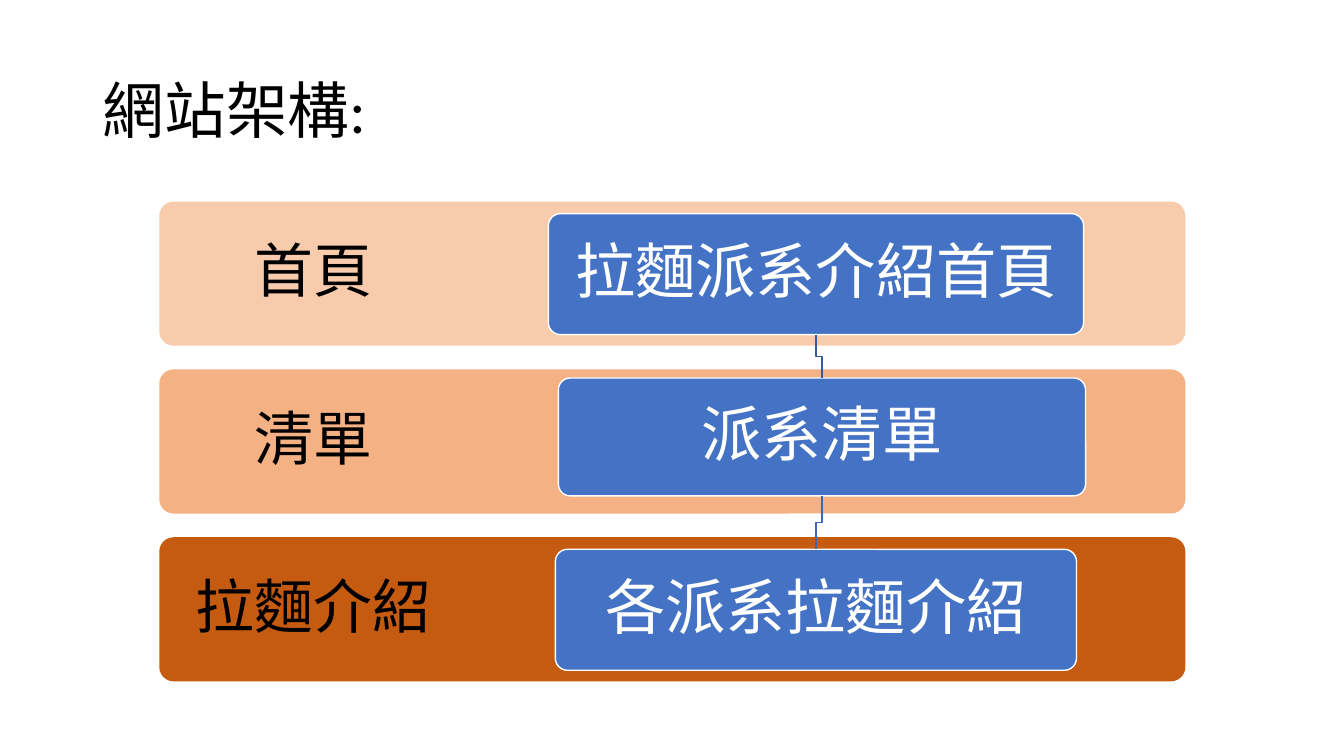
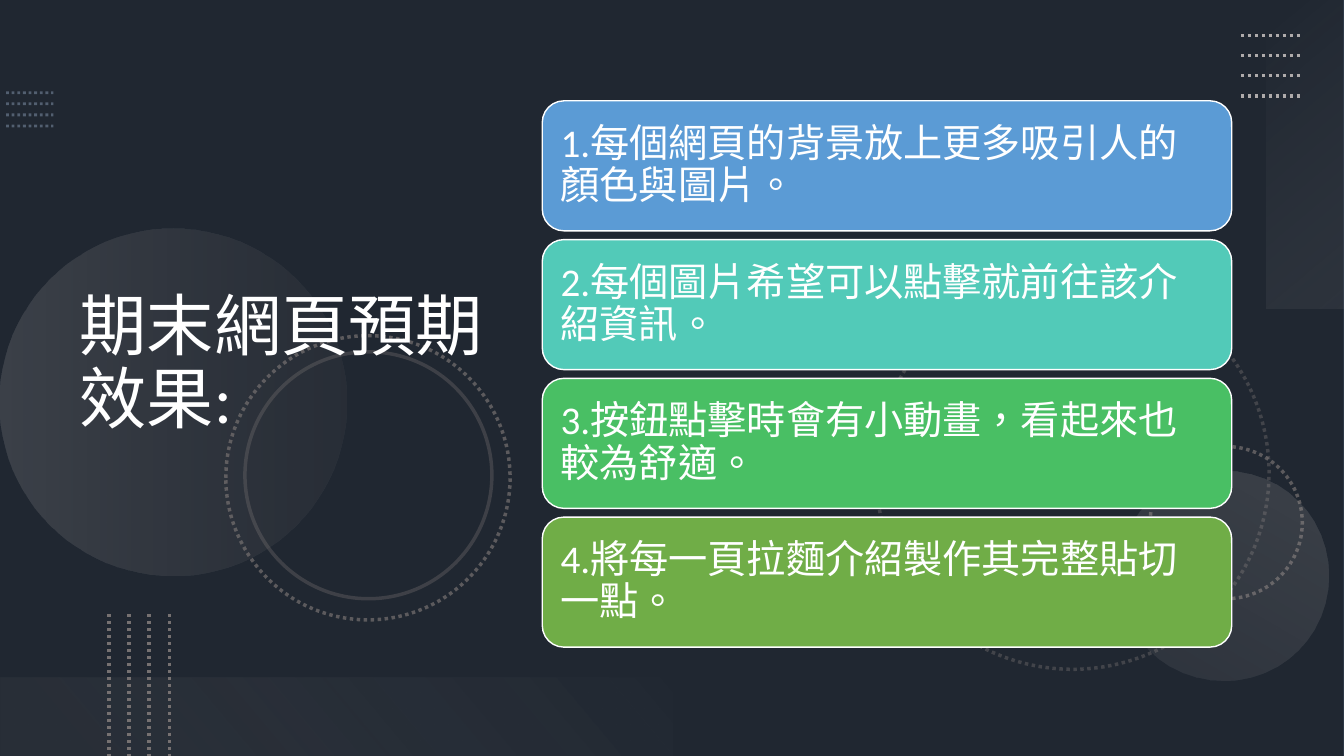
import lxml.etree
import pptx
import pptx.dml.color
import pptx.enum.dml
import pptx.enum.lang
import pptx.enum.shapes
import pptx.enum.text
import pptx.oxml.ns
import pptx.util

SCALE = 9144  # EMU in one px, 100 px to the inch
WIDE, HIGH = 1333, 750
FONT = "Calibri"
WHITE, BLACK, BLUE = "FFFFFF", "000000", "4472C4"
GREY, SILVER = "767171", "AFABAB"
KIND = pptx.enum.shapes.MSO_SHAPE
ALIGN = pptx.enum.text.PP_ALIGN
DOTS = pptx.enum.dml.MSO_LINE.ROUND_DOT


def px(*sizes):
    return [round(size * SCALE) for size in sizes]


def paint(hue):
    return pptx.dml.color.RGBColor.from_string(hue)


def fade(shape, path, *shares):
    """Set the opacity, in percent, of the colours found at an XML path."""
    for hue, share in zip(shape._element.spPr.xpath(path), shares):
        lxml.etree.SubElement(hue, pptx.oxml.ns.qn("a:alpha"), val=str(share * 1000))


def stroke(shape, hue, width, dash=None, share=100):
    shape.line.color.rgb = paint(hue)
    shape.line.width = pptx.util.Pt(width)
    if dash:
        shape.line.dash_style = dash
    if share < 100:
        fade(shape, "./a:ln/a:solidFill/a:srgbClr", share)


def form(slide, kind, box, fill=None, turn=0):
    shape = slide.shapes.add_shape(kind, *px(*box))
    shape.shadow.inherit = False
    shape.rotation = turn
    shape.line.fill.background()
    if fill:
        shape.fill.solid()
        shape.fill.fore_color.rgb = paint(fill)
    else:
        shape.fill.background()
    return shape


def blend(shape, stops, angle):
    """Fill with two stops of (place, hue, opacity); the angle runs clockwise."""
    shape.fill.gradient()
    shape.fill.gradient_angle = 360 - angle
    for stop, (place, hue, share) in zip(shape.fill.gradient_stops, stops):
        stop.position = place
        stop.color.rgb = paint(hue)
    fade(shape, "./a:gradFill//a:srgbClr", *(stop[2] for stop in stops))


def write(shape, text, size, hue, align=ALIGN.LEFT, inset=None):
    frame = shape.text_frame
    frame.word_wrap = True
    frame.auto_size = pptx.enum.text.MSO_AUTO_SIZE.NONE
    frame.vertical_anchor = pptx.enum.text.MSO_ANCHOR.MIDDLE
    if inset is not None:
        (frame.margin_left, frame.margin_top,
         frame.margin_right, frame.margin_bottom) = px(*[inset] * 4)
    para = frame.paragraphs[0]
    para.alignment = align
    para.line_spacing = 0.9
    run = para.add_run()
    run.text = text
    run.font.name = FONT
    run.font.size = pptx.util.Pt(size)
    run.font.color.rgb = paint(hue)
    run.font.language_id = pptx.enum.lang.MSO_LANGUAGE_ID.TRADITIONAL_CHINESE


def start(deck, ground):
    slide = deck.slides.add_slide(deck.slide_layouts[5])
    slide.background.fill.solid()
    slide.background.fill.fore_color.rgb = paint(ground)
    return slide


def head(slide, box, text, size, hue):
    title = slide.shapes.title
    title.left, title.top, title.width, title.height = px(*box)
    write(title, text, size, hue)


def card(slide, box, fill, text, size, align, inset):
    shape = form(slide, KIND.ROUNDED_RECTANGLE, box, fill)
    stroke(shape, WHITE, 1)
    write(shape, text, size, WHITE, align, inset)
    return shape


def band(slide, box, fill, text):
    left, top, width, height = box
    shape = form(slide, KIND.ROUNDED_RECTANGLE, box, fill)
    shape.adjustments[0] = 0.1
    label = slide.shapes.add_textbox(*px(left, top, width * 0.3, height))
    write(label, text, 42, BLACK, ALIGN.CENTER, 33)


def link(slide, upper, lower, hue):
    """Draw a stepped line from the foot of one node to the top of the next."""
    first, last = (node.left + node.width // 2 for node in (upper, lower))
    foot, top = upper.top + upper.height, lower.top
    mid = (foot + top) // 2
    path = slide.shapes.build_freeform(first, foot)
    path.add_line_segments([(first, mid), (last, mid), (last, top)], close=False)
    step = path.convert_to_shape()
    step.shadow.inherit = False
    step.fill.background()
    stroke(step, hue, 1)


def chart(slide, box):
    """Three labelled bands, each with one node, linked downwards."""
    left, top, width, height = box
    tall = 143
    pitch = (height - tall) / 2
    rows = [
        ("F8CBAD", "首頁", "拉麵派系介紹首頁", (386, 12, 531, 120)),
        ("F4B183", "清單", "派系清單", (396, 175, 523, 117)),
        ("C55A11", "拉麵介紹", "各派系拉麵介紹", (393, 345, 517, 120)),
    ]
    for row, (fill, label, _, _) in enumerate(rows):
        band(slide, (left, top + row * pitch, width, tall), fill, label)
    nodes = []
    for _, _, text, (dx, dy, wide, high) in rows:
        node = card(slide, (left + dx, top + dy, wide, high), BLUE, text, 43,
                    ALIGN.CENTER, 18)
        node.adjustments[0] = 0.1
        nodes.append(node)
    for upper, lower, hue in zip(nodes, nodes[1:], ("365B9D", "3E67B2")):
        link(slide, upper, lower, hue)


def rules(slide, box, hue, width, share=100, upright=False):
    """Four dotted lines spread evenly over a box."""
    left, top, wide, high = box
    for row in range(4):
        if upright:
            x = left + wide * row / 3
            ends = (x, top, x, top + high)
        else:
            y = top + high * row / 3
            ends = (left, y, left + wide, y)
        rule = slide.shapes.add_connector(
            pptx.enum.shapes.MSO_CONNECTOR.STRAIGHT, *px(*ends))
        lxml.etree.SubElement(rule._element.spPr, pptx.oxml.ns.qn("a:effectLst"))
        stroke(rule, hue, width, DOTS, share)


def ring(slide, left, top, size, dash, share):
    shape = form(slide, KIND.OVAL, (left, top, size, size))
    stroke(shape, GREY, 2.5, dash, share)


def disc(slide, left, top, size, turn, stops):
    blend(form(slide, KIND.OVAL, (left, top, size, size), turn=turn), stops, 90)


def decor(slide):
    veil = form(slide, KIND.RECTANGLE, (0, 0, WIDE, HIGH), BLACK)
    fade(veil, "./a:solidFill/a:srgbClr", 53)
    rules(slide, (6, 92, 47, 33), "8497B0", 2, 50)
    ring(slide, 869, 274, 390, DOTS, 40)
    ring(slide, 1141, 443, 151, DOTS, 70)
    disc(slide, 0, 227, 344, 270, [(0, SILVER, 20), (1, GREY, 10)])
    disc(slide, 1110, 467, 208, 210, [(0, SILVER, 10), (1, SILVER, 20)])
    ring(slide, 224, 333, 282, DOTS, 70)
    ring(slide, 243, 349, 245, None, 35)
    side = form(slide, KIND.RECTANGLE, (1142, 114, 306, 78), turn=270)
    blend(side, [(0, "F5F5F5", 0), (1, SILVER, 10)], 140)
    rules(slide, (1231, 35, 60, 60), SILVER, 2.5)
    base = form(slide, KIND.RECTANGLE, (0, 672, 667, 78), turn=180)
    blend(base, [(0.1, GREY, 10), (1, "F1F0F0", 0)], 140)
    rules(slide, (108, 609, 60, 141), GREY, 2.5, upright=True)


def goals(slide, box):
    left, top, width, height = box
    tall = 129
    items = [
        ("5B9BD5", "1.每個網頁的背景放上更多吸引人的顏色與圖片。"),
        ("52CAB8", "2.每個圖片希望可以點擊就前往該介紹資訊。"),
        ("49BF64", "3.按鈕點擊時會有小動畫，看起來也較為舒適。"),
        ("70AD47", "4.將每一頁拉麵介紹製作其完整貼切一點。"),
    ]
    pitch = (height - tall) / (len(items) - 1)
    for row, (fill, text) in enumerate(items):
        card(slide, (left, top + row * pitch, width, tall), fill, text, 28,
             ALIGN.LEFT, 12)


def main():
    deck = pptx.Presentation()
    deck.slide_width, deck.slide_height = px(WIDE + 1 / 3, HIGH)

    site = start(deck, WHITE)
    head(site, (92, 40, 1150, 145), "網站架構:", 44, BLACK)
    chart(site, (158, 200, 1018, 476))

    plan = start(deck, "44546A")
    decor(plan)
    head(plan, (69, 54, 459, 617), "期末網頁預期效果:", 48, WHITE)
    tree = plan.shapes._spTree
    tree.append(plan.shapes.title._element)  # bring the title above the decor
    goals(plan, (538, 100, 684, 542))

    deck.save("out.pptx")


if __name__ == "__main__":
    main()
